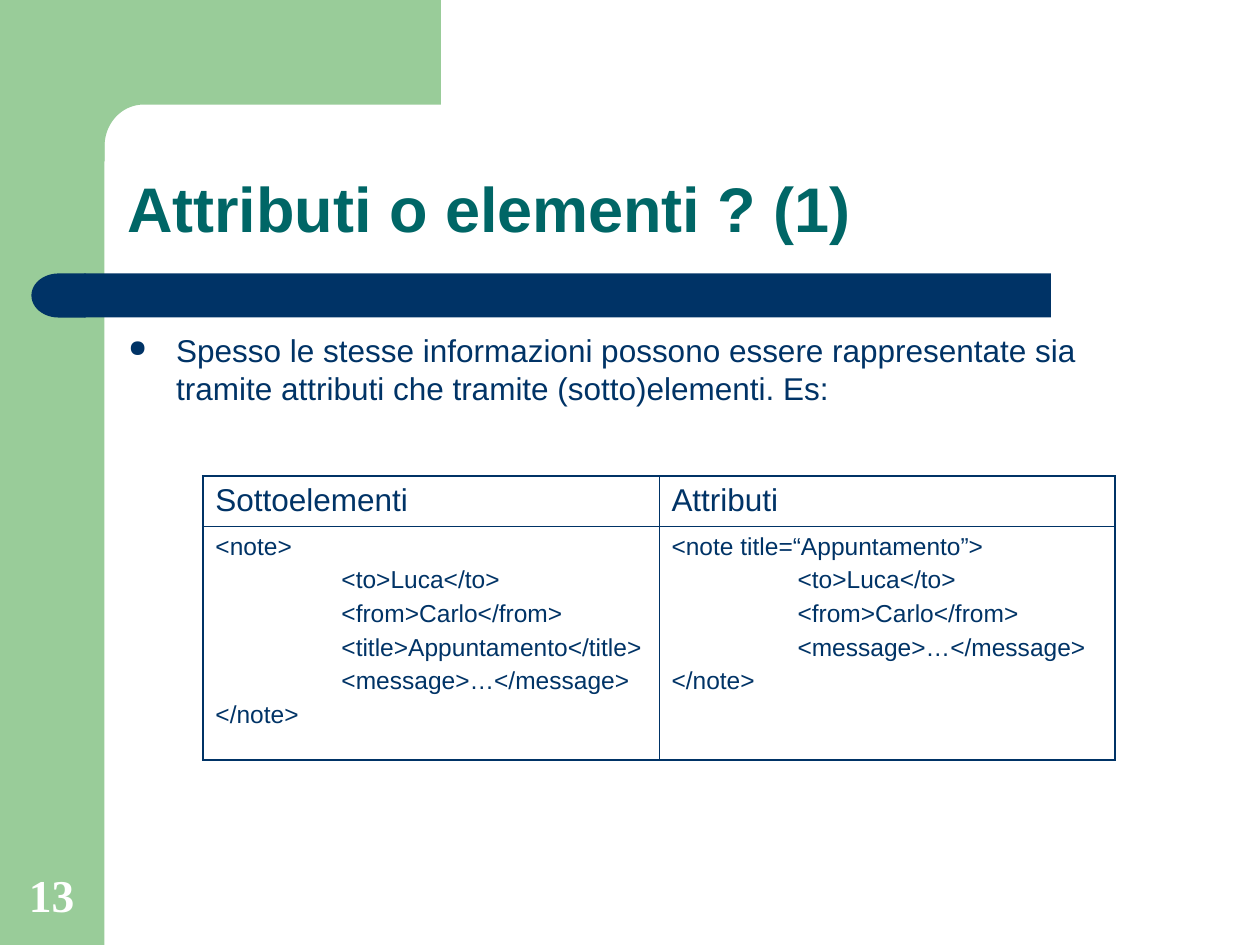
import math
from dataclasses import dataclass
from typing import NamedTuple

from lxml import etree
from pptx import Presentation, util as u
from pptx.dml.color import RGBColor
from pptx.enum import shapes, text
from pptx.oxml import ns


@dataclass(frozen=True)
class Theme:
    green: str = "99CC99"
    navy: str = "003366"
    teal: str = "006666"
    white: str = "FFFFFF"
    sans: str = "Arial"
    serif: str = "Times New Roman"
    title: float = 36
    body: float = 18
    code: float = 14
    number: float = 26
    outer: float = 1.08
    inner: float = 0.45


class Box(NamedTuple):
    x: float
    y: float
    w: float
    h: float

    def emu(self) -> list[u.Length]:
        return [u.Inches(v) for v in self]


class Style(NamedTuple):
    size: float
    color: str
    font: str
    bold: bool = False


class Column(NamedTuple):
    heading: str
    lines: list[str]


T = Theme()
BODY = Style(T.body, T.navy, T.sans)
CODE = Style(T.code, T.navy, T.sans)
COLUMNS = [
    Column("Sottoelementi", [
        "<note>", "\t<to>Luca</to>", "\t<from>Carlo</from>",
        "\t<title>Appuntamento</title>", "\t<message>…</message>", "</note>"]),
    Column("Attributi", [
        "<note title=“Appuntamento”>", "\t<to>Luca</to>",
        "\t<from>Carlo</from>", "\t<message>…</message>", "</note>"]),
]
COL_W = 3.62
ROWS = [0.4, 1.85]


def paint(sp, color: str):
    sp.shadow.inherit = False
    sp.fill.solid()
    sp.fill.fore_color.rgb = RGBColor.from_string(color)
    sp.line.fill.background()
    return sp


def add_block(s, kind, box: Box, color: str):
    return paint(s.shapes.add_shape(kind, *box.emu()), color)


def add_corner(s) -> None:
    cx, cy, rx, ry = 1.14, 1.16, 0.31, 0.33
    arc = [(cx - rx * math.sin(a), cy - ry * math.cos(a))
           for a in (math.radians(d) for d in range(0, 91, 5))]
    points = [(3.5, 0), (3.5, 0.83), *arc, (0.83, 1.28), (0.5, 1.28), (0.5, 0)]
    emu = [(u.Inches(x), u.Inches(y)) for x, y in points]
    fb = s.shapes.build_freeform(*emu[0], scale=1.0)
    fb.add_line_segments(emu[1:], close=True)
    paint(fb.convert_to_shape(), T.green)


def write(p, words: str, style: Style) -> None:
    r = p.add_run()
    r.text = words
    r.font.size = u.Pt(style.size)
    r.font.name = style.font
    r.font.bold = style.bold
    r.font.color.rgb = RGBColor.from_string(style.color)


def add_text(s, box: Box, words: str, style: Style, anchor):
    tf = s.shapes.add_textbox(*box.emu()).text_frame
    tf.word_wrap = True
    tf.vertical_anchor = anchor
    p = tf.paragraphs[0]
    write(p, words, style)
    return p


def add_child(parent, tag: str, **attrs: str):
    return etree.SubElement(parent, ns.qn(tag), attrs)


def set_bullet(p) -> None:
    pPr = p._p.get_or_add_pPr()
    pPr.set("marL", str(u.Inches(0.38)))
    pPr.set("indent", str(-u.Inches(0.38)))
    add_child(add_child(pPr, "a:buClr"), "a:srgbClr", val=T.navy)
    add_child(pPr, "a:buSzPct", val="75000")
    add_child(pPr, "a:buChar", char="●")


def set_borders(cell, widths: dict[str, float]) -> None:
    tcPr = cell._tc.get_or_add_tcPr()
    for side, width in widths.items():
        ln = add_child(tcPr, f"a:ln{side}", w=str(u.Pt(width)))
        add_child(add_child(ln, "a:solidFill"), "a:srgbClr", val=T.navy)


def fill_cell(cell, lines: list[str], style: Style) -> None:
    cell.fill.background()
    tf = cell.text_frame
    for i, line in enumerate(lines):
        p = tf.add_paragraph() if i else tf.paragraphs[0]
        p.space_before = u.Pt(style.size / 4)
        if line.startswith("\t"):
            tabs = add_child(p._p.get_or_add_pPr(), "a:tabLst")
            add_child(tabs, "a:tab", pos=str(u.Inches(1)), algn="l")
        write(p, line, style)


def add_comparison(s, x: float, y: float) -> None:
    n_rows, n_cols = len(ROWS), len(COLUMNS)
    box = Box(x, y, COL_W * n_cols, sum(ROWS))
    table = s.shapes.add_table(n_rows, n_cols, *box.emu()).table
    table.first_row = table.horz_banding = False
    for row, height in zip(table.rows, ROWS):
        row.height = u.Inches(height)
    for j, column in enumerate(COLUMNS):
        table.columns[j].width = u.Inches(COL_W)
        contents = [([column.heading], BODY), (column.lines, CODE)]
        for i, (lines, style) in enumerate(contents):
            edges = {"L": j == 0, "R": j == n_cols - 1,
                     "T": i == 0, "B": i == n_rows - 1}
            cell = table.cell(i, j)
            set_borders(cell, {side: T.outer if edge else T.inner
                               for side, edge in edges.items()})
            cell.margin_left = cell.margin_right = u.Inches(0.1)
            cell.margin_top = cell.margin_bottom = u.Inches(0.05)
            fill_cell(cell, lines, style)


def main() -> None:
    prs = Presentation()
    prs.slide_width, prs.slide_height = u.Inches(10), u.Inches(7.5)
    s = prs.slides.add_slide(prs.slide_layouts[6])
    kind, anchor = shapes.MSO_SHAPE, text.MSO_ANCHOR

    add_block(s, kind.RECTANGLE, Box(0, 0, 0.83, 7.5), T.green)
    add_corner(s)
    add_block(s, kind.RECTANGLE, Box(0.67, 2.17, 7.67, 0.35), T.navy)
    cap = add_block(s, kind.FLOWCHART_DELAY, Box(0.25, 2.17, 0.43, 0.35), T.navy)
    cap._element.spPr.xfrm.set("flipH", "1")

    title = add_text(s, Box(0.91, 0.91, 8.51, 1.09), "Attributi o elementi ? (1)",
                     Style(T.title, T.teal, T.sans, True), anchor.BOTTOM)
    title.line_spacing = 0.9
    body = add_text(s, Box(0.92, 2.58, 8.26, 4.47),
                    "Spesso le stesse informazioni possono essere rappresentate sia "
                    "tramite attributi che tramite (sotto)elementi. Es:",
                    BODY, anchor.TOP)
    body.space_before = u.Pt(4.5)
    set_bullet(body)
    add_comparison(s, 1.61, 3.78)
    number = add_text(s, Box(0.09, 6.83, 0.64, 0.53), "13",
                      Style(T.number, T.white, T.serif, True), anchor.BOTTOM)
    number.alignment = text.PP_ALIGN.CENTER
    prs.save("out.pptx")


if __name__ == "__main__":
    main()
